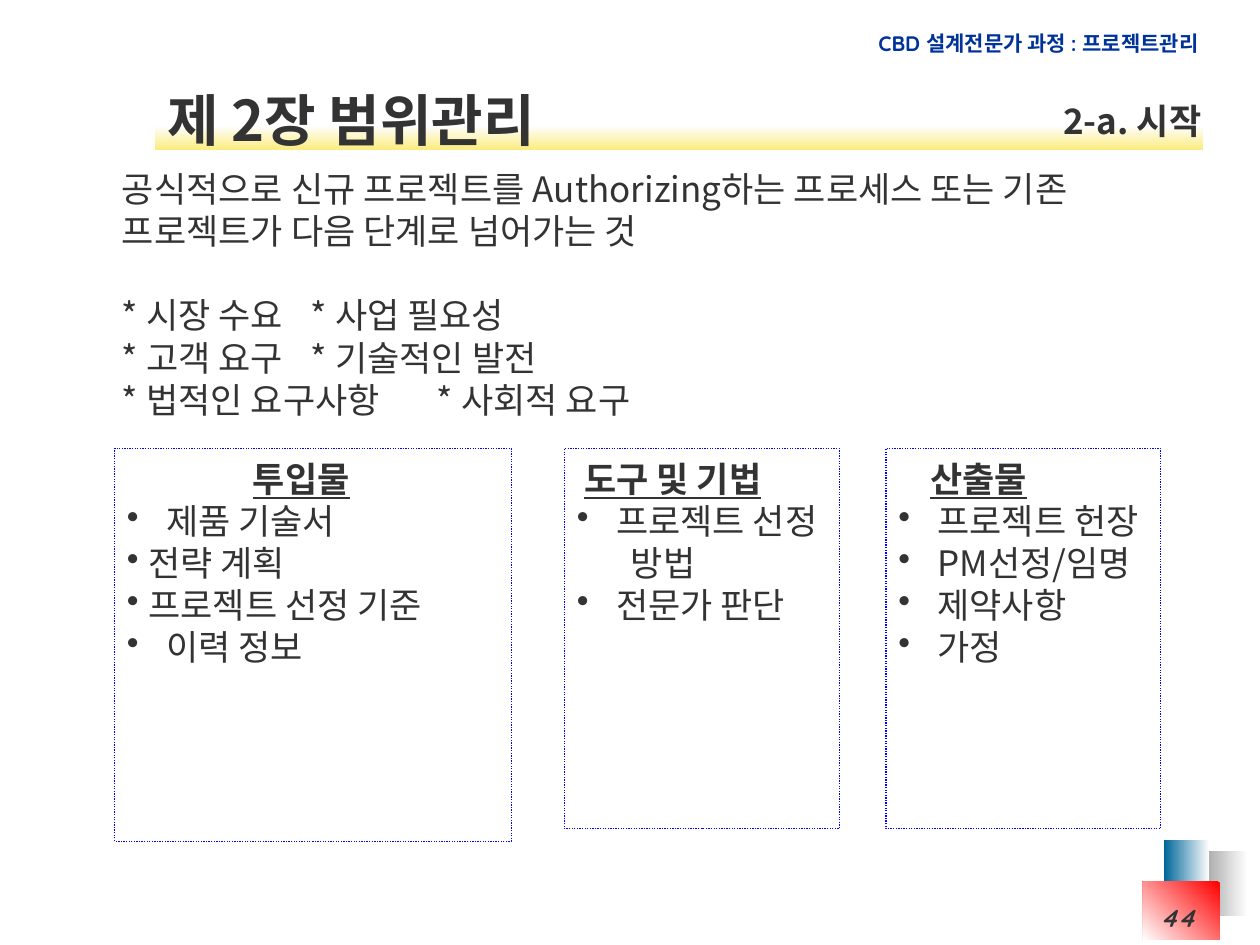
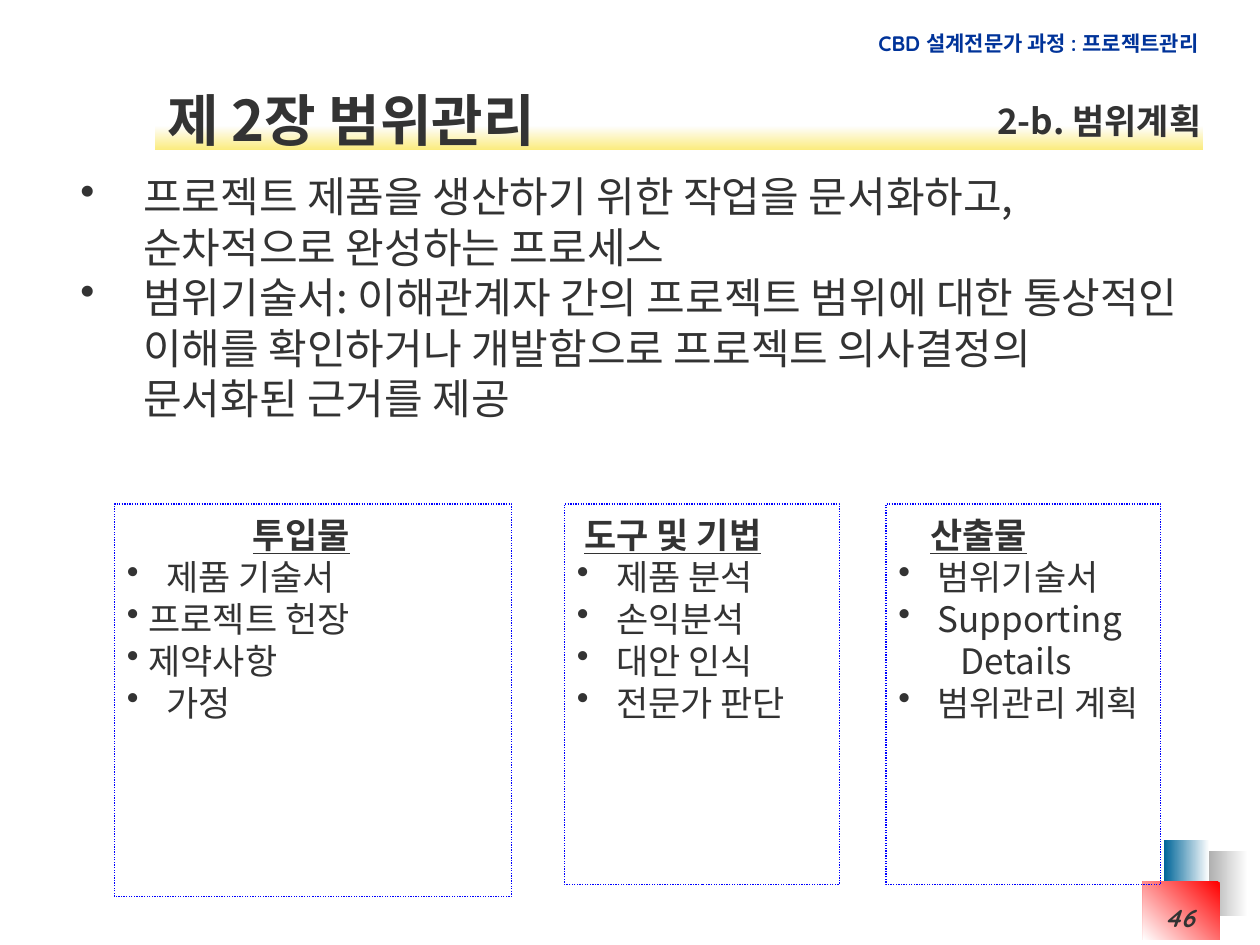
"""Build two scope management slides of a project management course."""
from lxml import etree
from pptx import Presentation
from pptx.dml.color import RGBColor
from pptx.enum.dml import MSO_LINE
from pptx.enum.shapes import MSO_SHAPE
from pptx.enum.text import MSO_ANCHOR, PP_ALIGN
from pptx.oxml.ns import qn
from pptx.util import Cm, Pt

RECTANGLE = MSO_SHAPE.RECTANGLE
DOTTED = MSO_LINE.ROUND_DOT
TOP = MSO_ANCHOR.TOP
LEFT, RIGHT = PP_ALIGN.LEFT, PP_ALIGN.RIGHT

COLORS = {
    "text": "333333", "header": "003399", "border": "0000FF",
    "white": "FFFFFF", "gray": "969696", "blue": "006699", "red": "FF0000",
    "band_top": "FEFEFE", "band_bottom": "FBEC7F",
}
KOREAN, LATIN = "Noto Sans CJK KR", "Quicksand"
WIDE, TIGHT = 0.79, 0.43

COLUMNS = [
    ("투입물", 2.54, 2.31, 8.0, 7.92),
    ("도구 및 기법", 0.15, 11.38, 5.54, 7.67),
    ("산출물", 0.64, 17.86, 5.54, 7.67),
]


def color(name):
    return RGBColor.from_string(COLORS[name])


class Deck:
    """Hold the shared style and the current slide."""

    def __init__(self):
        self.presentation = Presentation()
        self.presentation.slide_width = Cm(25.4)
        self.presentation.slide_height = Cm(19.05)
        self.slide = None

    def add_slide(self, subtitle, number):
        self.slide = self.presentation.slides.add_slide(self.presentation.slide_layouts[6])
        self.gradient(24.13, 17.15, 1.02, 1.32, "white", "gray", 180)
        self.gradient(23.47, 16.94, 0.91, 1.32, "white", "blue", 180)
        self.gradient(23.04, 17.78, 1.55, 1.17, "red", "white", 135)
        self.gradient(3.12, 2.54, 21.13, 0.48, "band_top", "band_bottom", 90)
        self.label("CBD 설계전문가 과정 : 프로젝트관리", 15.14, 0.46, 9.27, 0.76, 12, RIGHT,
                   name=LATIN, fill="header")
        self.label("제 2장 범위관리", 3.12, 1.5, 12, 1.55, 32)
        self.label(subtitle, 17.0, 1.83, 7.47, 1.12, 20, RIGHT)
        self.label(number, 21.21, 18.03, 3.12, 1.02, 14, RIGHT, name=LATIN, italic=True)

    def gradient(self, left, top, width, height, start, end, angle):
        shape = self.slide.shapes.add_shape(RECTANGLE, Cm(left), Cm(top), Cm(width), Cm(height))
        shape.shadow.inherit = False
        shape.line.fill.background()
        shape.fill.gradient()
        shape.fill.gradient_angle = 360 - angle
        for stop, name in zip(shape.fill.gradient_stops, (start, end)):
            stop.color.rgb = color(name)

    def prepare(self, shape, size, right_inset=0.25):
        frame = shape.text_frame
        frame.word_wrap = True
        frame.vertical_anchor = TOP
        frame.margin_left, frame.margin_right = Cm(0.25), Cm(right_inset)
        frame.margin_top, frame.margin_bottom = Cm(0.13 + 0.0028 * size), Cm(0.13)
        return frame

    def text_box(self, left, top, width, height, size):
        shape = self.slide.shapes.add_textbox(Cm(left), Cm(top), Cm(width), Cm(height))
        return self.prepare(shape, size)

    def paragraph(self, frame, text, size, align=LEFT, bold=False, italic=False,
                  underline=False, name=KOREAN, fill="text", indent=0, bullet=False,
                  tab=None, space_before=0):
        first = frame.paragraphs[0]
        paragraph = frame.add_paragraph() if first.runs else first
        paragraph.add_run().text = text
        properties = paragraph._p.get_or_add_pPr()
        properties.set("marL", str(Cm(indent)))
        properties.set("indent", str(-Cm(indent) if bullet else 0))
        if bullet:
            bullet_color = etree.SubElement(properties, qn("a:buClr"))
            etree.SubElement(bullet_color, qn("a:srgbClr"), val=COLORS[fill])
            etree.SubElement(properties, qn("a:buChar"), char="•")
        if tab:
            tabs = etree.SubElement(properties, qn("a:tabLst"))
            etree.SubElement(tabs, qn("a:tab"), pos=str(Cm(tab)), algn="l")
        paragraph.alignment = align
        paragraph.line_spacing = Pt(round(size * 1.2, 1))
        if space_before:
            paragraph.space_before = Pt(space_before)
        font = paragraph.font
        font.size, font.name = Pt(size), name
        font.bold, font.italic, font.underline = bold, italic, underline
        font.color.rgb = color(fill)
        etree.SubElement(font._element, qn("a:ea"), typeface=KOREAN)

    def label(self, text, left, top, width, height, size, align=LEFT, **style):
        frame = self.text_box(left, top, width, height, size)
        self.paragraph(frame, text, size, align, bold=True, **style)

    def process_boxes(self, top, lists):
        for (heading, offset, left, width, height), items in zip(COLUMNS, lists):
            shape = self.slide.shapes.add_shape(RECTANGLE, Cm(left), Cm(top), Cm(width), Cm(height))
            shape.shadow.inherit = False
            shape.fill.background()
            shape.line.color.rgb = color("border")
            shape.line.width = Pt(0.75)
            shape.line.dash_style = DOTTED
            frame = self.prepare(shape, 20, right_inset=0)
            self.paragraph(frame, heading, 20, bold=True, underline=True, indent=offset)
            for text, indent, bullet in items:
                self.paragraph(frame, text, 20, indent=indent, bullet=bullet)


def bullets(*texts, indent=WIDE):
    return [(text, indent, True) for text in texts]


def main():
    deck = Deck()

    deck.add_slide("2-a. 시작", "44")
    frame = deck.text_box(2.21, 3.2, 22.12, 5.33, 20)
    deck.paragraph(frame, "공식적으로 신규 프로젝트를 Authorizing하는 프로세스 또는 기존 "
                   "프로젝트가 다음 단계로 넘어가는 것", 20)
    reasons = [("시장 수요", "사업 필요성"), ("고객 요구", "기술적인 발전"),
               ("법적인 요구사항", "사회적 요구")]
    for row, (left, right) in enumerate(reasons):
        deck.paragraph(frame, f"* {left}\t* {right}", 20, tab=10.16,
                       space_before=0 if row else 24)
    deck.process_boxes(9.04, [
        bullets("제품 기술서") + bullets("전략 계획", "프로젝트 선정 기준", indent=TIGHT)
        + bullets("이력 정보"),
        bullets("프로젝트 선정") + [("방법", 1.09, False)] + bullets("전문가 판단"),
        bullets("프로젝트 헌장", "PM선정/임명", "제약사항", "가정"),
    ])

    deck.add_slide("2-b. 범위계획", "46")
    frame = deck.text_box(1.37, 3.25, 22.68, 5.33, 24)
    for text in (
        "프로젝트 제품을 생산하기 위한 작업을 문서화하고, 순차적으로 완성하는 프로세스",
        "범위기술서: 이해관계자 간의 프로젝트 범위에 대한 통상적인 이해를 확인하거나 "
        "개발함으로 프로젝트 의사결정의 문서화된 근거를 제공",
    ):
        deck.paragraph(frame, text, 24, indent=1.27, bullet=True)
    deck.process_boxes(10.16, [
        bullets("제품 기술서") + bullets("프로젝트 헌장", "제약사항", indent=TIGHT)
        + bullets("가정"),
        bullets("제품 분석", "손익분석", "대안 인식", "전문가 판단"),
        bullets("범위기술서", "Supporting") + [("Details", 1.25, False)]
        + bullets("범위관리 계획"),
    ])

    deck.presentation.save("out.pptx")


if __name__ == "__main__":
    main()
